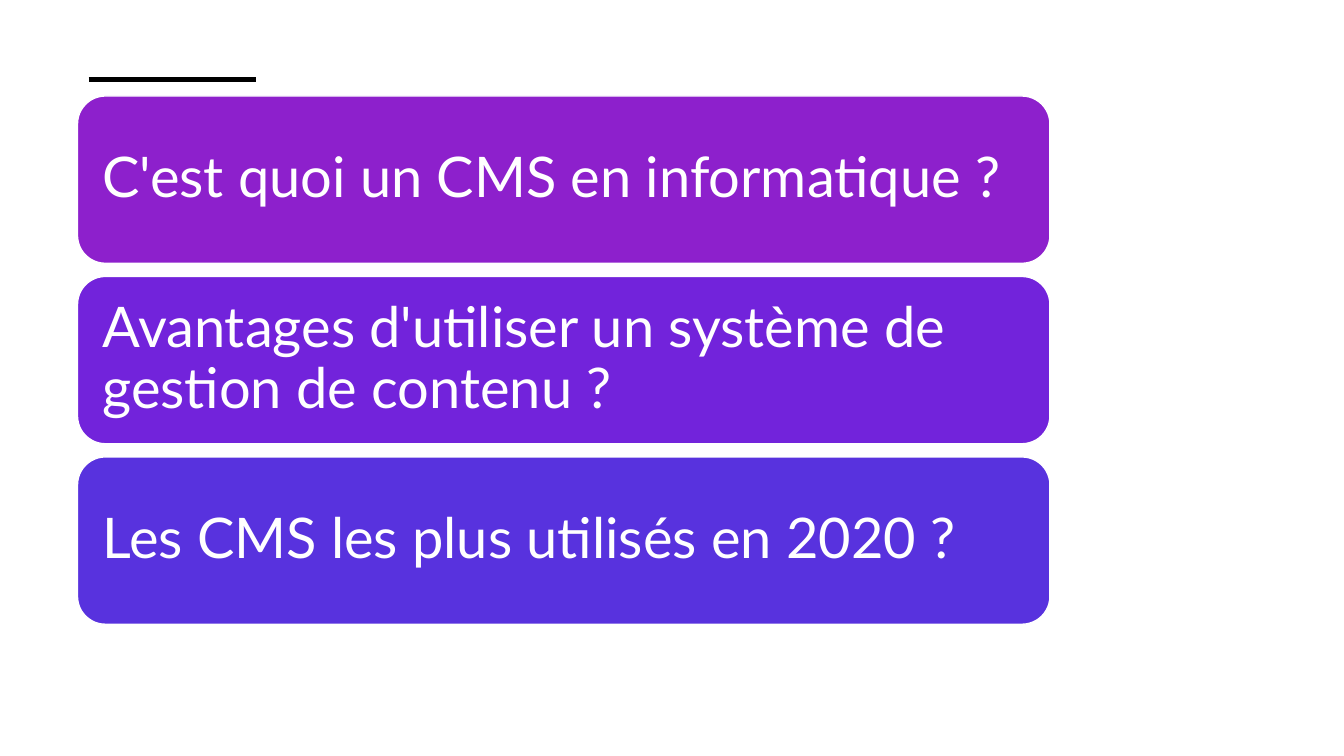
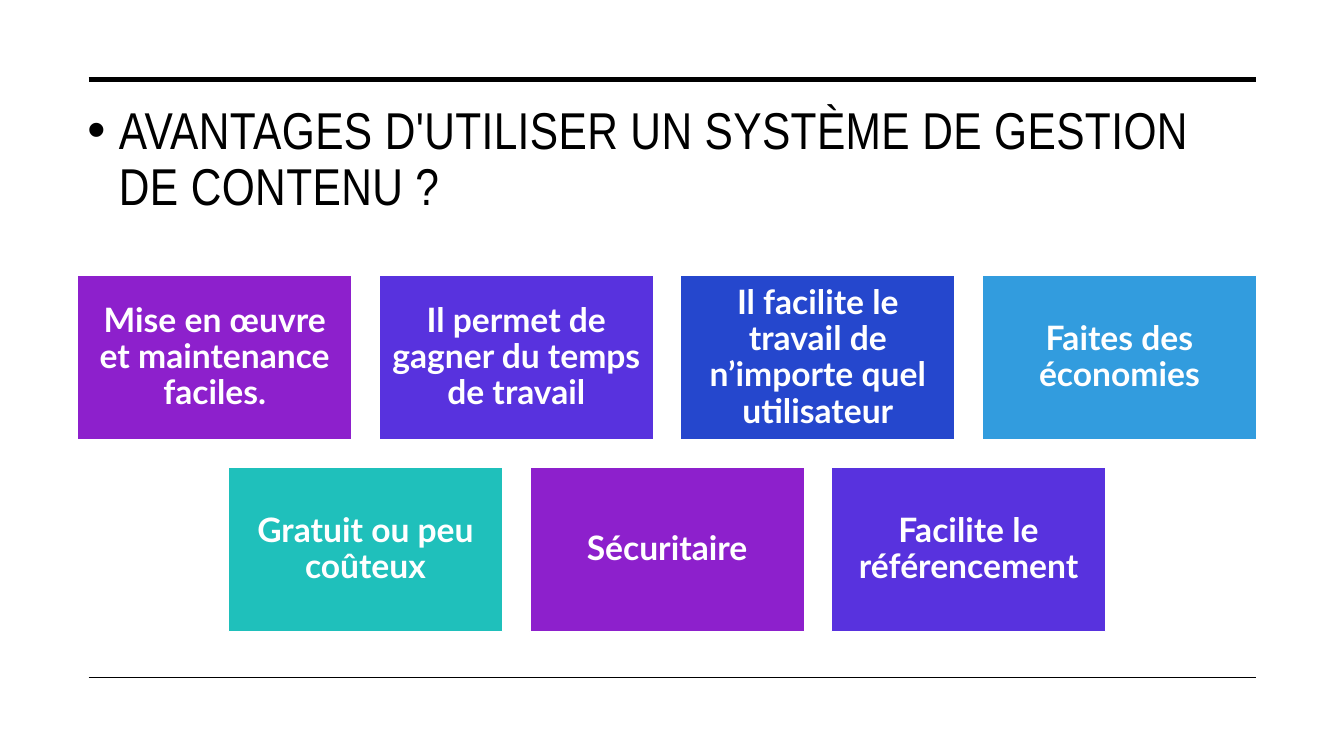
from lxml import etree
from pptx import Presentation
from pptx.dml.color import RGBColor
from pptx.enum.shapes import MSO_CONNECTOR, MSO_SHAPE as Preset
from pptx.enum.text import MSO_ANCHOR as Anchor, PP_ALIGN as Align
from pptx.oxml.ns import qn
from pptx.util import Pt

# Content
AGENDA = [
    ("C'est quoi un CMS en informatique ?", "8D20CC"),
    ("Avantages d'utiliser un système de gestion de contenu ?", "7223DB"),
    ("Les CMS les plus utilisés en 2020 ?", "5832DE"),
]
TITLE = "AVANTAGES D'UTILISER UN SYSTÈME DE GESTION DE CONTENU ?"
BENEFIT_ROWS = [
    [
        ("Mise en œuvre et maintenance faciles.", "8D20CC"),
        ("Il permet de gagner du temps de travail", "5832DE"),
        ("Il facilite le travail de n’importe quel utilisateur", "2547CD"),
        ("Faites des économies", "329CDE"),
    ],
    [
        ("Gratuit ou peu coûteux", "1FC0BB"),
        ("Sécuritaire", "8D20CC"),
        ("Facilite le référencement", "5832DE"),
    ],
]

# Shared style, lengths in points
BLACK, WHITE = "000000", "FFFFFF"
BODY_FONT, TITLE_FONT = "Lato", "Arial Narrow"
LEFT, CONTENT_WIDTH = 55.4, 842.2
RULE_LEFT, RULE_RIGHT = 63.4, 897.1
TOP_RULE, BOTTOM_RULE = 56.9, 483.8
THICK, THIN = 3.5, 1


def color(value):
    return RGBColor.from_string(value)


def add_rule(slide, top, right, weight):
    rule = slide.shapes.add_connector(
        MSO_CONNECTOR.STRAIGHT, Pt(RULE_LEFT), Pt(top), Pt(right), Pt(top))
    rule.line.color.rgb = color(BLACK)
    rule.line.width = Pt(weight)
    etree.SubElement(rule._element.spPr, qn("a:effectLst"))


def style_paragraph(paragraph, font, size, text_color, align, bold=False):
    paragraph.alignment = align
    paragraph.line_spacing = 0.9
    paragraph.font.name = font
    paragraph.font.size = Pt(size)
    paragraph.font.bold = bold
    paragraph.font.color.rgb = color(text_color)


def add_card(slide, preset, box, text, fill, inset, size, align, bold=False):
    card = slide.shapes.add_shape(preset, *map(Pt, box))
    card.shadow.inherit = False
    card.fill.solid()
    card.fill.fore_color.rgb = color(fill)
    card.line.color.rgb = color(WHITE)
    card.line.width = Pt(1)
    frame = card.text_frame
    frame.word_wrap = True
    frame.vertical_anchor = Anchor.MIDDLE
    frame.margin_left = frame.margin_right = Pt(inset)
    frame.margin_top = frame.margin_bottom = Pt(inset)
    frame.text = text
    style_paragraph(frame.paragraphs[0], BODY_FONT, size, WHITE, align, bold)


def add_title(slide, text):
    box = slide.shapes.add_textbox(Pt(LEFT), Pt(71.3), Pt(CONTENT_WIDTH), Pt(90.7))
    frame = box.text_frame
    frame.word_wrap = True
    frame.text = text
    paragraph = frame.paragraphs[0]
    style_paragraph(paragraph, TITLE_FONT, 37, BLACK, Align.LEFT)
    # Hanging bullet and letter spacing
    properties = paragraph._p.get_or_add_pPr()
    properties.set("marL", str(Pt(22.5)))
    properties.set("indent", str(Pt(-22.5)))
    bullet_font = etree.Element(qn("a:buFont"), typeface="Arial")
    bullet = etree.Element(qn("a:buChar"), char="•")
    properties.find(qn("a:defRPr")).addprevious(bullet_font)
    bullet_font.addnext(bullet)
    paragraph.runs[0]._r.get_or_add_rPr().set("spc", "30")


def build_agenda(slide):
    top, width, height, gap = 68.6, 694.6, 119.5, 9.4
    add_rule(slide, TOP_RULE, 183, THICK)
    for index, (text, fill) in enumerate(AGENDA):
        box = (LEFT, top + index * (height + gap), width, height)
        add_card(slide, Preset.ROUNDED_RECTANGLE, box, text, fill, 12, 40, Align.LEFT)


def build_benefits(slide):
    top, width, height, gap = 196.8, 196, 117.5, 19.4
    add_title(slide, TITLE)
    add_rule(slide, TOP_RULE, RULE_RIGHT, THICK)
    add_rule(slide, BOTTOM_RULE, RULE_RIGHT, THIN)
    for row, tiles in enumerate(BENEFIT_ROWS):
        # Each row is centred in the content width
        row_width = len(tiles) * (width + gap) - gap
        row_left = LEFT + (CONTENT_WIDTH - row_width) / 2
        for column, (text, fill) in enumerate(tiles):
            box = (row_left + column * (width + gap), top + row * (height + gap), width, height)
            add_card(slide, Preset.RECTANGLE, box, text, fill, 7.2, 24, Align.CENTER, True)


def main():
    presentation = Presentation()
    presentation.slide_width, presentation.slide_height = Pt(960), Pt(540)
    for build in (build_agenda, build_benefits):
        build(presentation.slides.add_slide(presentation.slide_layouts[6]))
    presentation.save("out.pptx")


if __name__ == "__main__":
    main()
